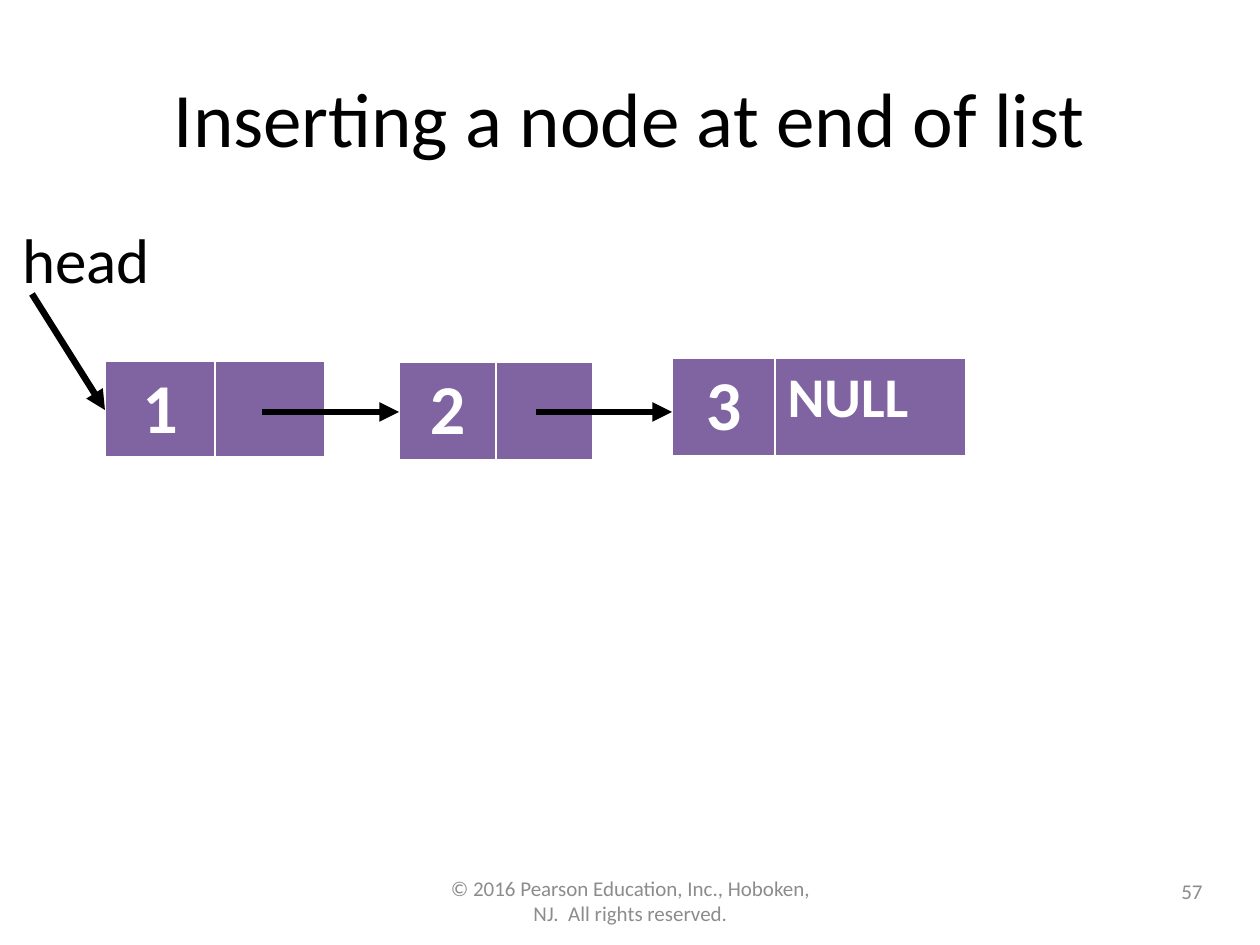
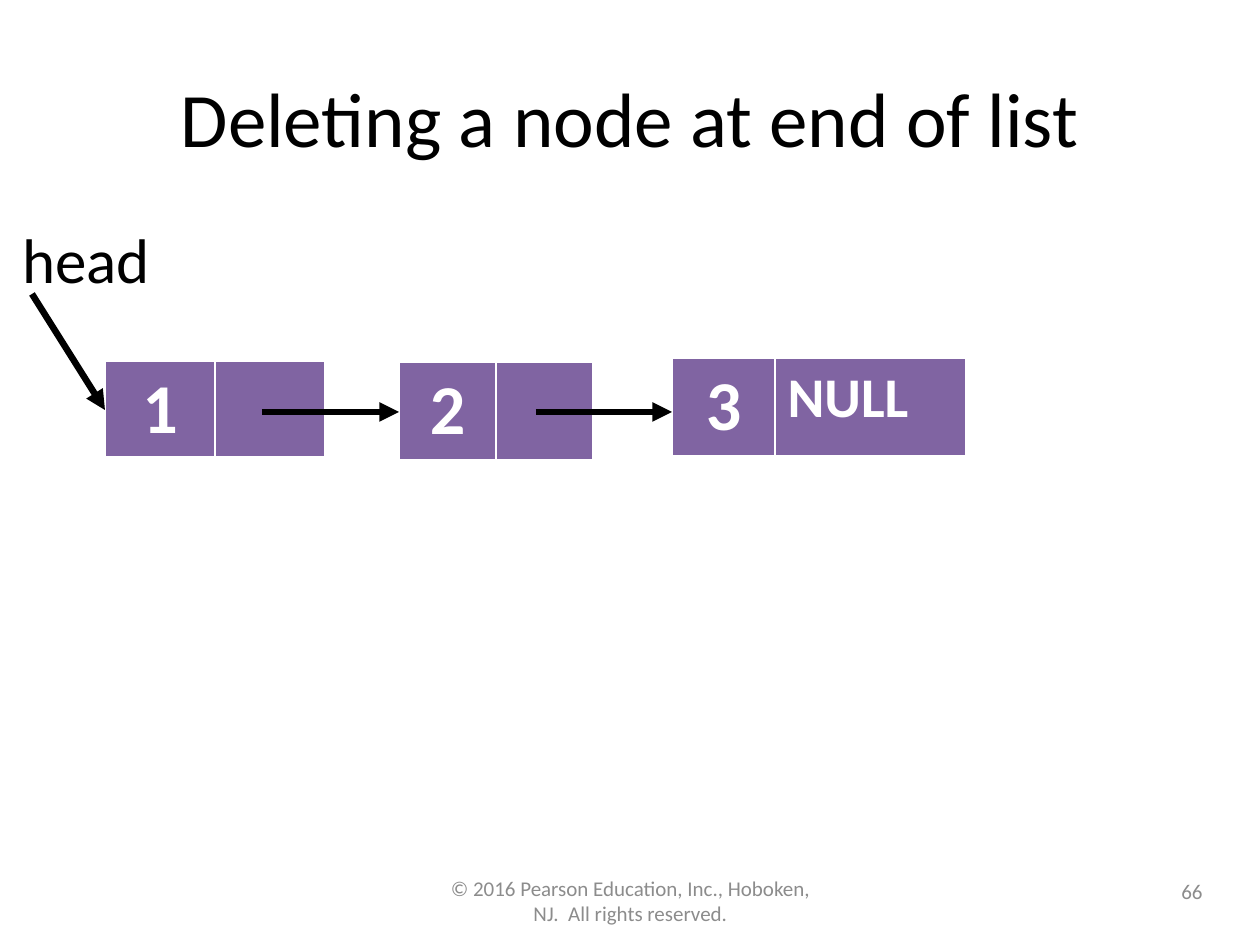
from lxml import etree
from pptx import Presentation
from pptx.dml.color import RGBColor
from pptx.enum.shapes import MSO_CONNECTOR
from pptx.enum.text import MSO_ANCHOR, PP_ALIGN
from pptx.oxml.ns import qn
from pptx.util import Pt

PX = 914400 / 126  # EMU in one px
FONT = "Calibri"
COLORS = {"ink": "000000", "paper": "FFFFFF", "muted": "8C8C8C", "node": "8064A2"}
LEFT, CENTER, RIGHT = PP_ALIGN.LEFT, PP_ALIGN.CENTER, PP_ALIGN.RIGHT
TOP, MIDDLE = MSO_ANCHOR.TOP, MSO_ANCHOR.MIDDLE
STRAIGHT = MSO_CONNECTOR.STRAIGHT

COPYRIGHT = "© 2016 Pearson Education, Inc., Hoboken, NJ.  All rights reserved."
PAGES = [("Inserting a node at end of list", "57"),
         ("Deleting a node at end of list", "66")]

# Nodes: left, top, height, column widths, value, link text
NODES = [(105, 361, 97, (110, 110), "1", ""),
         (399, 362, 99, (97, 97), "2", ""),
         (672, 358, 99, (103, 191), "3", "NULL")]
# Arrows: start x, start y, end x, end y
ARROWS = [(262, 412, 399, 412), (536, 412, 672, 412), (32, 294, 105, 410)]
BORDERS = {"a:lnL": 1, "a:lnR": 1, "a:lnT": 1, "a:lnB": 3}


def emu(*lengths):
    return [round(length * PX) for length in lengths]


def color(name):
    return RGBColor.from_string(COLORS[name])


def write(frame, text, size, color_name, align, bold=False):
    para = frame.paragraphs[0]
    para.alignment = align
    span = para.add_run()
    span.text = text
    span.font.name = FONT
    span.font.size = Pt(size)
    span.font.bold = bold
    span.font.color.rgb = color(color_name)


def add_text(page, area, text, size, color_name="ink", align=CENTER,
             anchor=MIDDLE, wrap=True):
    frame = page.shapes.add_textbox(*emu(*area)).text_frame
    frame.word_wrap = wrap
    frame.vertical_anchor = anchor
    write(frame, text, size, color_name, align)


def style_cell(cell):
    properties = cell._tc.get_or_add_tcPr()
    for tag, width in BORDERS.items():
        line = etree.SubElement(properties, qn(tag), w=str(Pt(width)))
        fill = etree.SubElement(line, qn("a:solidFill"))
        etree.SubElement(fill, qn("a:srgbClr"), val=COLORS["paper"])
    cell.fill.solid()
    cell.fill.fore_color.rgb = color("node")


def add_node(page, left, top, height, widths, value, link):
    area = emu(left, top, sum(widths), height)
    table = page.shapes.add_table(1, len(widths), *area).table
    for column, width in zip(table.columns, emu(*widths)):
        column.width = width
    value_cell, link_cell = table.cell(0, 0), table.cell(0, 1)
    for cell in (value_cell, link_cell):
        style_cell(cell)
    write(value_cell.text_frame, value, 40, "paper", CENTER, bold=True)
    if link:
        write(link_cell.text_frame, link, 32, "paper", LEFT, bold=True)


def add_arrow(page, *ends):
    arrow = page.shapes.add_connector(STRAIGHT, *emu(*ends))
    arrow.line.color.rgb = color("ink")
    arrow.line.width = Pt(3.75)
    etree.SubElement(arrow.line._get_or_add_ln(), qn("a:tailEnd"), type="triangle")
    etree.SubElement(arrow._element.spPr, qn("a:effectLst"))


def add_frame(page, title, number):
    add_text(page, (63, 38, 1134, 158), title, 44)
    add_text(page, (431, 876, 399, 50), COPYRIGHT, 12, "muted")
    add_text(page, (921, 866, 294, 50), number, 12, "muted", RIGHT)


def add_linked_list(page):
    for node in NODES:
        add_node(page, *node)
    add_text(page, (10, 214, 154, 89), "head", 36, align=LEFT, anchor=TOP, wrap=False)
    for ends in ARROWS:
        add_arrow(page, *ends)


def main():
    deck = Presentation()
    deck.slide_width, deck.slide_height = emu(1260, 945)
    blank = deck.slide_layouts[6]
    for title, number in PAGES:
        page = deck.slides.add_slide(blank)
        add_frame(page, title, number)
        add_linked_list(page)
    deck.save("out.pptx")


if __name__ == "__main__":
    main()
